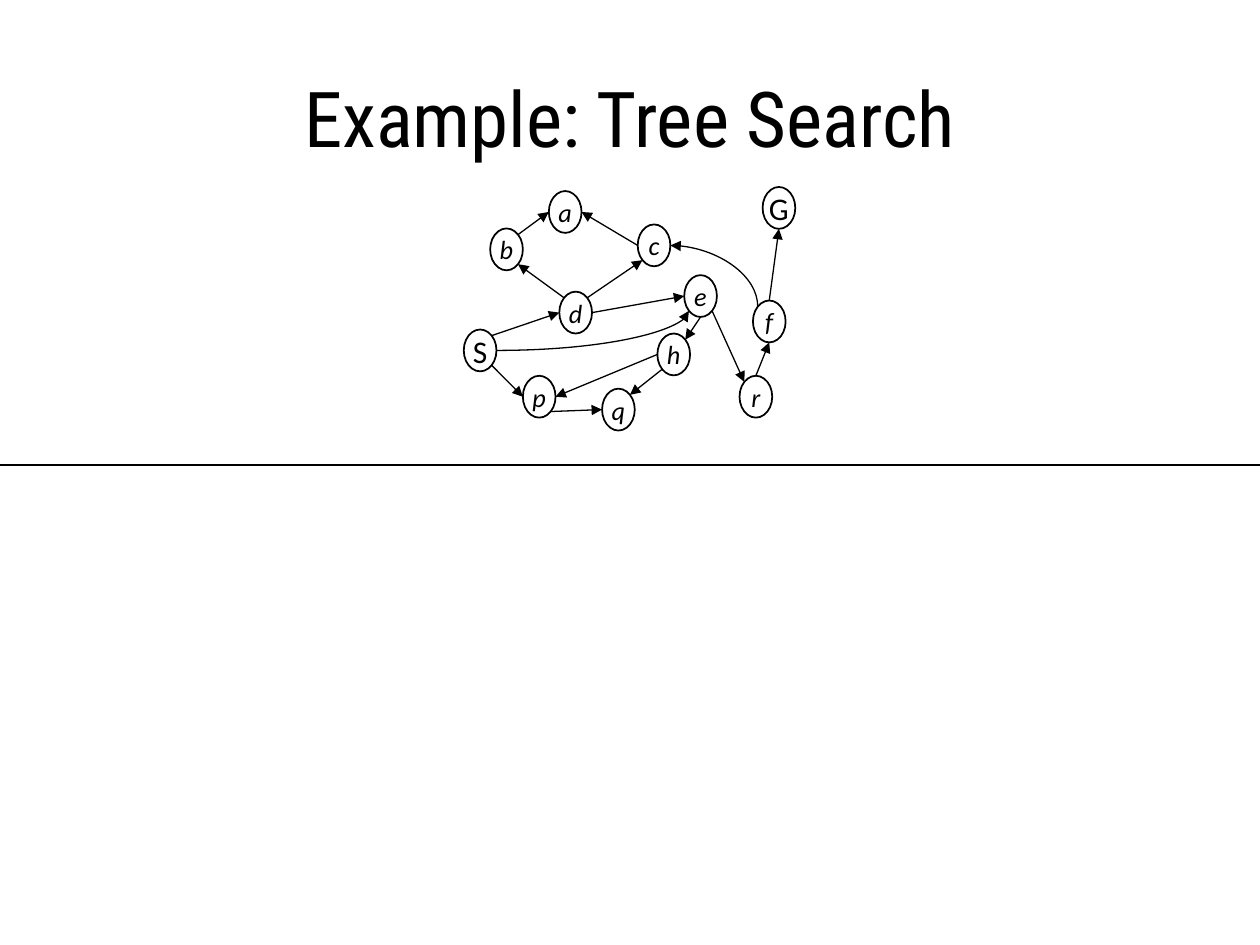
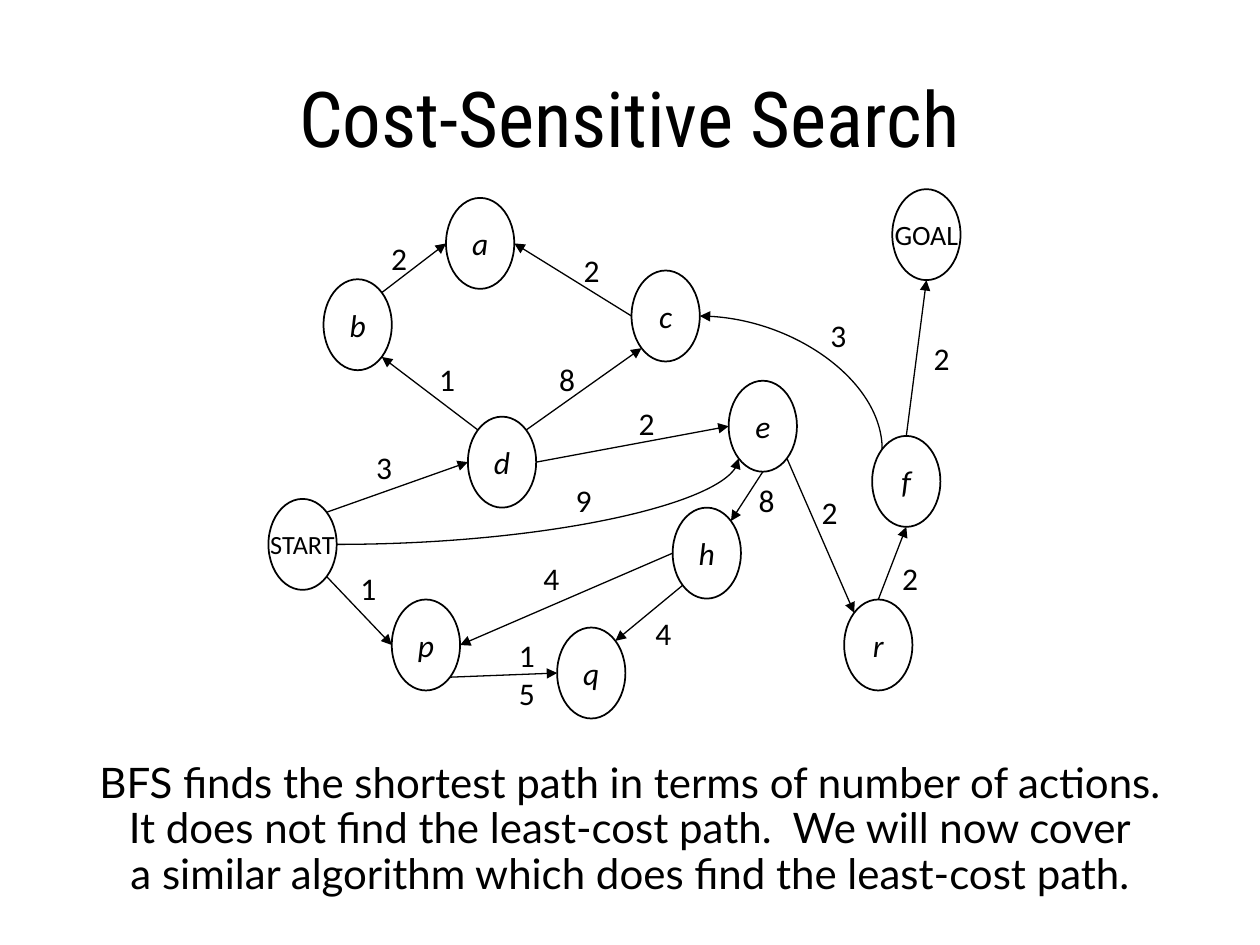
from dataclasses import dataclass
from math import cos, radians, sin

from lxml.etree import SubElement
from pptx import Presentation
from pptx.dml.color import RGBColor
from pptx.enum.shapes import MSO_CONNECTOR, MSO_SHAPE
from pptx.enum.text import MSO_ANCHOR, PP_ALIGN
from pptx.oxml.ns import qn
from pptx.util import Pt


@dataclass(frozen=True)
class Theme:
    ink: RGBColor = RGBColor(0, 0, 0)
    head: str = "Roboto Condensed"
    body: str = "Lato"
    mark: str = "Calibri"
    title: float = 44
    note: float = 24
    cost: float = 18
    rule: float = 0.75
    ring: float = 1


@dataclass(frozen=True)
class Plan:
    """Where a graph goes: its origin, scale, letter size and end names."""
    x: float
    y: float
    wide: float
    high: float
    size: float
    ends: dict
    costs: bool


# Top left corners of the nodes, relative to the start node
NODES = {
    "S": (0, 0), "G": (356.5, -177), "d": (114, -47), "b": (31.5, -125.5),
    "p": (70.5, 57.5), "q": (165, 73.5), "c": (207.5, -130.5),
    "e": (263, -67.5), "h": (231, 5), "a": (101.5, -172),
    "f": (345, -36), "r": (329, 57.5),
}
NODE_W, NODE_H = 39, 52

# Connection sites run counterclockwise from the top in steps of 45 degrees
TOP, TL, LEFT, BL, BOTTOM, BR, RIGHT, TR = range(8)

# From, site, to, site, cost, and the place of the cost
EDGES = [
    ("S", BR, "p", LEFT, "1", 45.5, 36.5),
    ("p", BR, "q", LEFT, "15", 136, 75),
    ("h", BL, "q", TR, "4", 214, 62),
    ("h", LEFT, "p", RIGHT, "4", 150, 31),
    ("e", BOTTOM, "h", TR, "8", 273, -13.5),
    ("e", BR, "r", TL, "2", 309, -7),
    ("r", TOP, "f", BOTTOM, "2", 355, 31),
    ("f", TOP, "G", BOTTOM, "2", 373, -95),
    ("S", TR, "d", LEFT, "3", 54.5, -32.5),
    ("d", TL, "b", BR, "1", 90.5, -83),
    ("b", TR, "a", LEFT, "2", 63, -152),
    ("c", LEFT, "a", RIGHT, "2", 173, -145.5),
    ("d", TR, "c", BL, "8", 159, -83),
    ("d", RIGHT, "e", LEFT, "2", 204.5, -57.5),
    ("f", TL, "c", RIGHT, "3", 314, -108),
    ("S", RIGHT, "e", BL, "9", 168.5, -13.5),
]
CURVES = {"fc", "Se"}

SMALL = Plan(265, 188.3, 0.479, 0.46, 15, {"S": ("S", 18), "G": ("G", 18)}, False)
LARGE = Plan(153.4, 285.1, 1, 1, 18, {"S": ("START", 15), "G": ("GOAL", 16)}, True)
NOTE = [
    "BFS finds the shortest path in terms of number of actions.",
    "It does not find the least-cost path.  We will now cover",
    "a similar algorithm which does find the least-cost path.",
]


class Deck:
    def __init__(self, theme):
        self.theme = theme
        self.file = Presentation()
        self.file.slide_width, self.file.slide_height = Pt(720), Pt(540)
        self.slide = None

    def font(self, part, face, size, slant=False):
        font = part.font
        font.name, font.size, font.italic = face, Pt(size), slant
        font.color.rgb = self.theme.ink

    def page(self, title):
        self.slide = self.file.slides.add_slide(self.file.slide_layouts[5])
        box = self.slide.shapes.title
        box.left, box.top, box.width, box.height = Pt(36), Pt(21.6), Pt(648), Pt(90)
        frame = box.text_frame
        frame.text = title
        frame.vertical_anchor = MSO_ANCHOR.MIDDLE
        frame.paragraphs[0].alignment = PP_ALIGN.CENTER
        self.font(frame.paragraphs[0].runs[0], self.theme.head, self.theme.title)

    def text(self, lines, x, y, w, h, face, size, align=PP_ALIGN.LEFT, space=1):
        box = self.slide.shapes.add_textbox(Pt(x), Pt(y), Pt(w), Pt(h))
        frame = box.text_frame
        frame.word_wrap = True
        frame.text = "\n".join(lines)
        for para in frame.paragraphs:
            para.alignment, para.line_spacing = align, space
            self.font(para.runs[0], face, size)

    def node(self, name, x, y, w, h, size, slant):
        ring = self.slide.shapes.add_shape(
            MSO_SHAPE.FLOWCHART_CONNECTOR, Pt(x), Pt(y), Pt(w), Pt(h))
        ring.shadow.inherit = False
        ring.fill.background()
        ring.line.color.rgb = self.theme.ink
        ring.line.width = Pt(self.theme.ring)
        frame = ring.text_frame
        frame.word_wrap = False
        frame.vertical_anchor = MSO_ANCHOR.MIDDLE
        frame.text = name
        frame.paragraphs[0].alignment = PP_ALIGN.CENTER
        self.font(frame.paragraphs[0].runs[0], self.theme.mark, size, slant)
        return ring

    def line(self, start, end, kind=MSO_CONNECTOR.STRAIGHT, tip=None):
        """Draw a line; tip is headEnd or tailEnd for an arrow."""
        link = self.slide.shapes.add_connector(kind, *start, *end)
        link.line.color.rgb = self.theme.ink
        link.line.width = Pt(self.theme.rule)
        if tip:
            SubElement(link.line._get_or_add_ln(), qn("a:" + tip), type="triangle")
        SubElement(link._element.spPr, qn("a:effectLst"))
        return link

    def edge(self, one, out, two, into, curve):
        ends = [(one, out), (two, into)]
        tip = "tailEnd"
        # A quarter curve leaves sideways, so one that arrives sideways is turned round
        if curve and into == RIGHT:
            ends.reverse()
            tip = "headEnd"
        kind = MSO_CONNECTOR.CURVE if curve else MSO_CONNECTOR.STRAIGHT
        link = self.line(*(site(*end) for end in ends), kind, tip)
        if curve:
            link._element.spPr.find(qn("a:prstGeom")).set("prst", "curvedConnector2")
        glue = link._element.nvCxnSpPr.cNvCxnSpPr
        for tag, (ring, spot) in zip(("a:stCxn", "a:endCxn"), ends):
            SubElement(glue, qn(tag), id=str(ring.shape_id), idx=str(spot))

    def graph(self, plan):
        rings = {}
        for key, (x, y) in NODES.items():
            name, size = plan.ends.get(key, (key, plan.size))
            rings[key] = self.node(
                name, plan.x + x * plan.wide, plan.y + y * plan.high,
                NODE_W * plan.wide, NODE_H * plan.high, size, key not in plan.ends)
        for one, out, two, into, cost, x, y in EDGES:
            self.edge(rings[one], out, rings[two], into, one + two in CURVES)
            if plan.costs:
                count = len(cost)
                self.text([cost], plan.x + x, plan.y + y, 9 + 9 * count,
                          7 + 22 * count, self.theme.mark, self.theme.cost)


def site(ring, spot):
    """Give the point of a connection site on a ring."""
    turn = radians(90 + 45 * spot)
    return (round(ring.left + ring.width / 2 * (1 + cos(turn))),
            round(ring.top + ring.height / 2 * (1 - sin(turn))))


def main():
    theme = Theme()
    deck = Deck(theme)

    deck.page("Example: Tree Search")
    deck.line((0, Pt(265.7)), (Pt(720), Pt(265.7)))
    deck.graph(SMALL)

    deck.page("Cost-Sensitive Search")
    deck.text(NOTE, 0, 432, 720, 96.5, theme.body, theme.note, PP_ALIGN.CENTER, 0.9)
    deck.graph(LARGE)

    deck.file.save("out.pptx")


if __name__ == "__main__":
    main()
